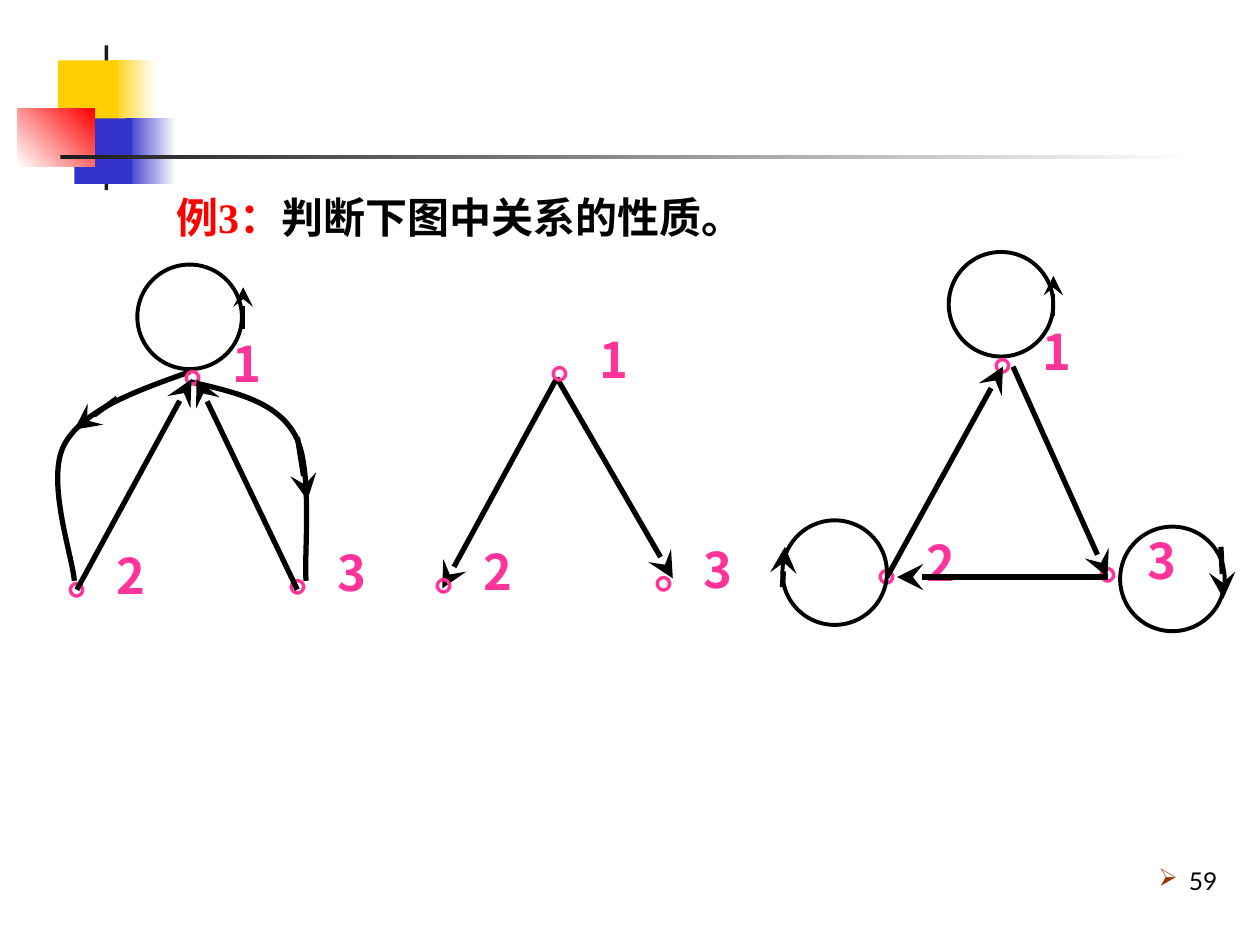
from lxml import etree
from pptx import Presentation
from pptx.dml.color import RGBColor
from pptx.enum.shapes import MSO_CONNECTOR as Connector, MSO_SHAPE as Shape
from pptx.enum.text import MSO_ANCHOR as Anchor, MSO_AUTO_SIZE as AutoSize, PP_ALIGN as Align
from pptx.oxml.ns import qn
from pptx.util import Inches, Pt

BLACK = RGBColor(0x00, 0x00, 0x00)
WHITE = RGBColor(0xFF, 0xFF, 0xFF)
INK = RGBColor(0x1C, 0x1C, 0x1C)
YELLOW = RGBColor(0xFF, 0xCF, 0x01)
BLUE = RGBColor(0x33, 0x33, 0xCC)
RED = RGBColor(0xFF, 0x00, 0x00)
PINK = RGBColor(0xFF, 0x33, 0x99)
BROWN = RGBColor(0x99, 0x33, 0x00)
SERIF, SANS, HAN = "Times New Roman", "Lato", "Noto Sans CJK SC"
THIN, THICK = 2.25, 3
LOOP_SIZE = 0.83
LABEL_OFFSETS = [(0, 0), (-0.92, 1.68), (0.83, 1.66)]


class RelationPage:
    """Draw the elements of a slide of relation graphs in one style."""

    def __init__(self, deck):
        self.page = deck.slides.add_slide(deck.slide_layouts[6])
        self.shapes = self.page.shapes

    def block(self, left, top, width, height, start, end=None, angle=0):
        block = self.shapes.add_shape(
            Shape.RECTANGLE, Inches(left), Inches(top), Inches(width), Inches(height))
        block.shadow.inherit = False
        block.line.fill.background()
        if end is None:
            block.fill.solid()
            block.fill.fore_color.rgb = start
        else:
            block.fill.gradient()
            block.fill.gradient_angle = angle
            for stop, color in zip(block.fill.gradient_stops, (start, end)):
                stop.color.rgb = color

    def outline(self, shape, weight):
        shape.shadow.inherit = False
        shape.fill.background()
        shape.line.color.rgb = BLACK
        shape.line.width = Pt(weight)

    def loop(self, left, top):
        circle = self.shapes.add_shape(
            Shape.OVAL, Inches(left), Inches(top), Inches(LOOP_SIZE), Inches(LOOP_SIZE))
        self.outline(circle, THIN)

    def curve(self, start, *points):
        builder = self.shapes.build_freeform(*map(Inches, start), scale=1.0)
        builder.add_line_segments([tuple(map(Inches, point)) for point in points], close=False)
        curve = builder.convert_to_shape()
        self.outline(curve, THICK)
        path = next(curve._element.iter(qn("a:path")))
        segments = path.findall(qn("a:lnTo"))
        for first in range(0, len(segments), 3):
            bezier = etree.SubElement(path, qn("a:cubicBezTo"))
            for segment in segments[first:first + 3]:
                bezier.append(segment[0])
                path.remove(segment)

    def arrow(self, start, end, weight=THICK):
        arrow = self.shapes.add_connector(
            Connector.STRAIGHT, *map(Inches, start), *map(Inches, end))
        arrow.line.color.rgb = BLACK
        arrow.line.width = Pt(weight)
        etree.SubElement(arrow.line._get_or_add_ln(), qn("a:tailEnd"),
                         type="stealth", w="lg", len="lg")
        etree.SubElement(arrow._element.spPr, qn("a:effectLst"))

    def text(self, left, top, width, height, spans, size, font, bold=False):
        box = self.shapes.add_textbox(Inches(left), Inches(top), Inches(width), Inches(height))
        box.text_frame.word_wrap = True
        para = box.text_frame.paragraphs[0]
        for words, color in spans:
            span = para.add_run()
            span.text = words
            span.font.color.rgb = color
        para.font.size = Pt(size)
        para.font.bold = bold
        para.font.name = font
        etree.SubElement(para._p.pPr.find(qn("a:defRPr")), qn("a:ea"), typeface=HAN)
        return box.text_frame, para

    def indent(self, para, margin):
        properties = para._p.get_or_add_pPr()
        properties.set("marL", str(Inches(margin)))
        properties.set("indent", str(-Inches(margin)))
        return properties

    def title(self, spans):
        para = self.text(1.3, 1.39, 5.42, 0.67, spans, 24, SERIF, True)[1]
        para.line_spacing = 1.2
        self.indent(para, 0.67)

    def number(self, words):
        frame, para = self.text(7.68, 6.66, 2.08, 0.5, [(words, BLACK)], 14, SANS)
        frame.vertical_anchor = Anchor.BOTTOM
        para.alignment = Align.RIGHT
        properties = self.indent(para, 0.24)
        color = etree.Element(qn("a:buClr"))
        etree.SubElement(color, qn("a:srgbClr"), val=str(BROWN))
        font = etree.Element(qn("a:buFont"), typeface="Wingdings")
        bullet = etree.Element(qn("a:buChar"), char="Ø")
        for element in (color, font, bullet):
            properties.find(qn("a:defRPr")).addprevious(element)

    def nodes(self, left, top):
        for index, (across, down) in enumerate(LABEL_OFFSETS, 1):
            frame = self.text(left + across, top + down, 1, 0.57,
                              [(f"。{index}", PINK)], 28, HAN, True)[0]
            frame.auto_size = AutoSize.SHAPE_TO_FIT_TEXT


def draw_decoration(page):
    page.block(0.88, 0.48, 0.36, 0.52, YELLOW, WHITE)
    page.block(1, 0.94, 0.4, 0.52, BLUE, WHITE)
    page.block(0.83, 0.36, 0.03, 1.15, INK)
    page.block(0.46, 0.48, 0.48, 0.52, YELLOW)
    page.block(0.59, 0.94, 0.46, 0.52, BLUE)
    page.block(0.14, 0.86, 0.61, 0.46, WHITE, RED, 45)
    page.block(0.48, 1.23, 9, 0.03, INK, WHITE)


def draw_left_graph(page):
    page.curve((1.51, 2.95), (1.09, 3.1), (0.66, 3.25), (0.51, 3.53),
               (0.36, 3.81), (0.58, 4.43), (0.59, 4.61))
    page.loop(1.09, 2.1)
    page.arrow((1.93, 2.61), (1.93, 2.28), THIN)
    page.arrow((0.93, 3.16), (0.59, 3.41))
    page.curve((1.51, 3.03), (1.85, 3.11), (2.19, 3.18), (2.34, 3.45),
               (2.49, 3.71), (2.41, 4.42), (2.43, 4.61))
    page.arrow((2.36, 3.47), (2.44, 3.97))
    page.nodes(1.36, 2.6)
    page.arrow((0.61, 4.68), (1.52, 3.01))
    page.arrow((2.36, 4.68), (1.56, 3.01))


def draw_right_graph(page):
    page.loop(7.53, 2)
    page.arrow((8.36, 2.51), (8.36, 2.19), THIN)
    page.nodes(7.79, 2.5)
    page.arrow((7.04, 4.58), (7.96, 2.91))
    page.loop(6.21, 4.13)
    page.loop(8.89, 4.18)
    page.arrow((8.04, 2.91), (8.79, 4.58))
    page.arrow((8.79, 4.58), (7.12, 4.58))
    page.arrow((6.21, 4.66), (6.23, 4.34))
    page.arrow((9.69, 4.34), (9.71, 4.75))


def draw_middle_graph(page):
    page.arrow((4.42, 3), (3.51, 4.67))
    page.arrow((4.42, 3), (5.34, 4.59))
    page.nodes(4.27, 2.57)


def main():
    deck = Presentation()
    deck.slide_width, deck.slide_height = Inches(10), Inches(7.5)
    page = RelationPage(deck)
    draw_decoration(page)
    page.number("59")
    page.title([("例3：", RED), ("判断下图中关系的性质。", BLACK)])
    draw_left_graph(page)
    draw_right_graph(page)
    draw_middle_graph(page)
    deck.save("out.pptx")


if __name__ == "__main__":
    main()
